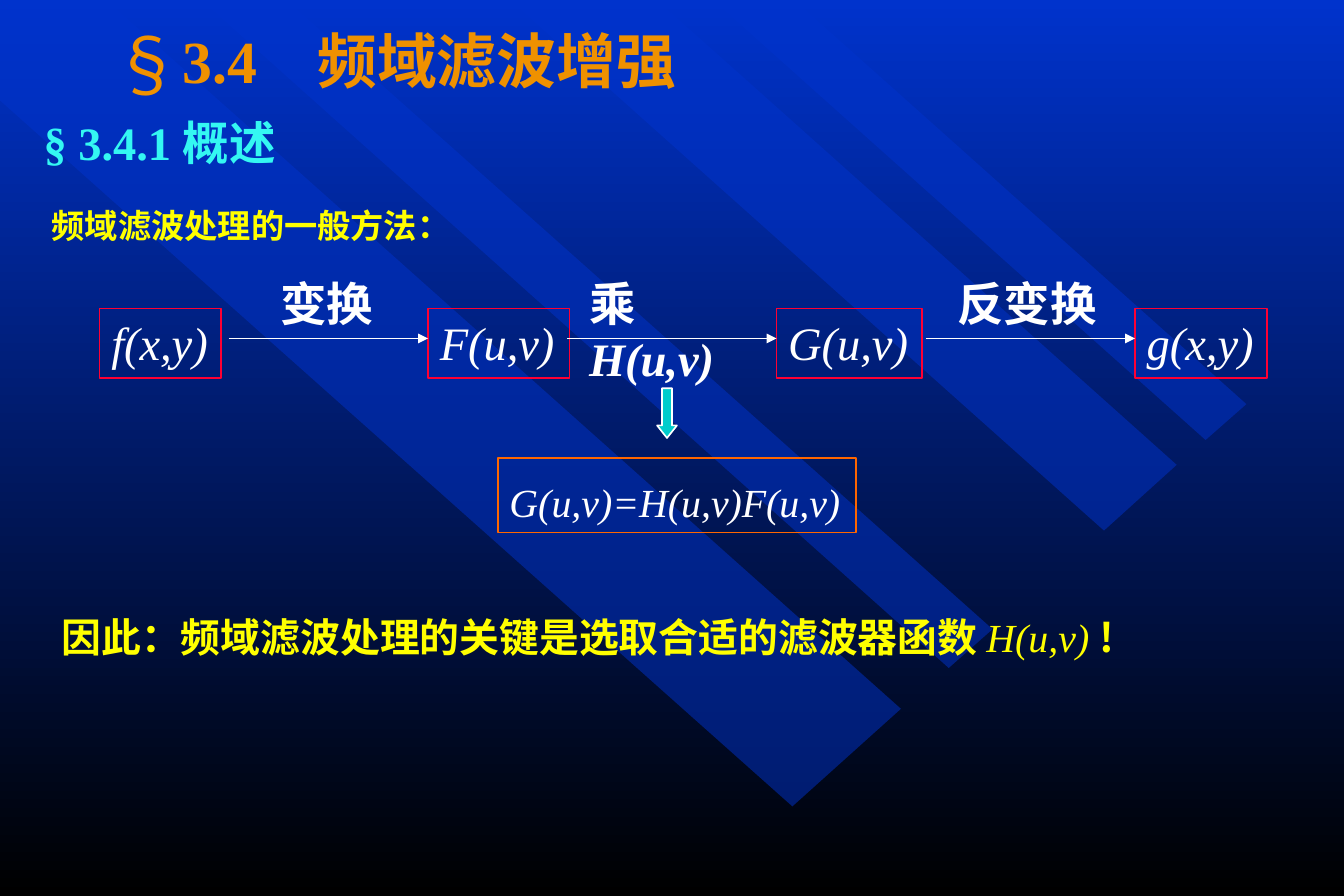
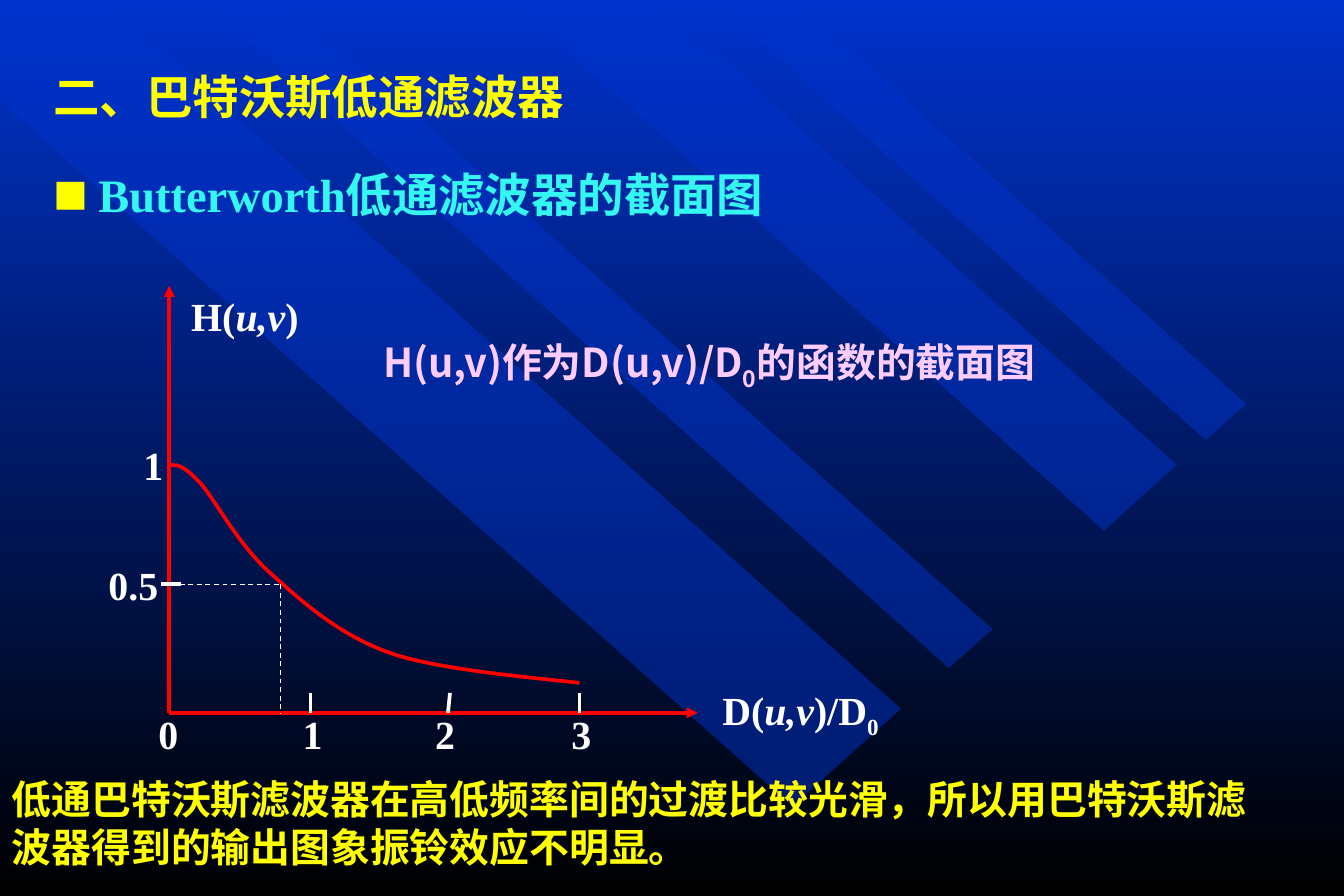
from lxml import etree
from pptx import Presentation
from pptx import util as u
from pptx.dml.color import RGBColor
from pptx.enum import dml, shapes, text
from pptx.oxml import ns

PX = 7620  # EMU in one px (120 px to the inch)
WIDE, HIGH = 1350, 900
ROMAN, SANS = "Times New Roman", "Noto Sans CJK SC"
HUE = {
    "blue": "0033CC", "black": "000000", "white": "FFFFFF",
    "gold": "EF9100", "cyan": "34F7F2", "yellow": "FFFF00",
    "pink": "FFCCFF", "teal": "00CCCC", "orange": "FF6600",
    "rose": "FF0033", "red": "FF0000",
}
BANDS = [
    [(905, 712), (107, 0), (0, 0), (0, 101), (796, 810)],
    [(288, 0), (997, 632), (953, 671), (202, 0)],
    [(660, 0), (1182, 467), (1109, 533), (512, 0)],
    [(716, 0), (1211, 442), (1252, 406), (798, 0)],
]
MID, TOP = text.MSO_ANCHOR.MIDDLE, text.MSO_ANCHOR.TOP
LEFT, CENTER = text.PP_ALIGN.LEFT, text.PP_ALIGN.CENTER


def emu(*nums):
    return [u.Emu(round(n * PX)) for n in nums]


def rgb(name):
    return RGBColor.from_string(HUE[name])


def sub(node, tag, **atts):
    return etree.SubElement(node, ns.qn("a:" + tag), atts)


# ---- basic parts ----
def paint(shape, fill=None, line=None, width=1):
    shape.shadow.inherit = False
    if fill:
        shape.fill.solid()
        shape.fill.fore_color.rgb = rgb(fill)
    else:
        shape.fill.background()
    if line:
        shape.line.color.rgb = rgb(line)
        shape.line.width = u.Pt(width)
    else:
        shape.line.fill.background()


def mark(para, char, font, size, gap, hue=None):
    """Give a paragraph a bullet with a hanging indent."""
    props = para._p.get_or_add_pPr()
    props.set("marL", str(gap * PX))
    props.set("indent", str(-gap * PX))
    if hue:
        sub(sub(props, "buClr"), "srgbClr", val=HUE[hue])
    sub(props, "buSzPct", val=str(size * 1000))
    sub(props, "buFont", typeface=font)
    sub(props, "buChar", char=char)


def fill_text(shape, runs, size, hue, font=ROMAN, bold=True, italic=None,
              wrap=True, anchor=TOP, align=LEFT, space=None, bullet=None,
              grow=True):
    """Runs are (words, changes) pairs; a plain string is a single run."""
    frame = shape.text_frame
    frame.word_wrap = wrap
    frame.vertical_anchor = anchor
    fit = text.MSO_AUTO_SIZE
    frame.auto_size = fit.SHAPE_TO_FIT_TEXT if grow else fit.NONE
    para = frame.paragraphs[0]
    para.alignment = align
    if space:
        para.line_spacing = space
    if bullet:
        mark(para, *bullet)
    face = para.font
    face.size, face.bold, face.italic = u.Pt(size), bold, italic
    face.color.rgb = rgb(hue)
    face.name = font
    sub(para._p.pPr.find(ns.qn("a:defRPr")), "ea", typeface=SANS)
    for words, diff in [(runs, {})] if isinstance(runs, str) else runs:
        run = para.add_run()
        run.text = words
        for key, val in diff.items():
            if key == "base":
                run.font._element.set("baseline", str(val * 1000))
            else:
                setattr(run.font, key, val)


def note(slide, box, runs, size, hue, **opts):
    fill_text(slide.shapes.add_textbox(*emu(*box)), runs, size, hue, **opts)


def frame_box(slide, box, words, size, line, **opts):
    shape = slide.shapes.add_shape(shapes.MSO_SHAPE.RECTANGLE, *emu(*box))
    paint(shape, line=line)
    fill_text(shape, words, size, "white", bold=False, italic=True, **opts)


def rule(slide, ends, hue="white", width=1, dash=False, head=False):
    line = slide.shapes.add_connector(
        shapes.MSO_CONNECTOR.STRAIGHT, *emu(*ends))
    line.line.color.rgb = rgb(hue)
    line.line.width = u.Pt(width)
    if dash:
        line.line.dash_style = dml.MSO_LINE.DASH
    props = line._element.spPr
    if head:
        sub(props.find(ns.qn("a:ln")), "tailEnd", type="triangle")
    sub(props, "effectLst")


def trace(slide, dots, close):
    pen = slide.shapes.build_freeform(*dots[0], scale=float(PX))
    pen.add_line_segments(dots[1:], close=close)
    return pen.convert_to_shape()


# ---- shared backdrop, kept on the master ----
def backdrop(deck, slide):
    master = deck.slide_master
    fill = master.background.fill
    fill.gradient()
    fill.gradient_angle = 270
    for stop, hue, at in zip(fill.gradient_stops, ("blue", "black"), (0, 1)):
        stop.color.rgb = rgb(hue)
        stop.position = at
    for num, dots in enumerate(BANDS):
        band = trace(slide, dots, True)
        paint(band, fill="blue")
        node = band._element
        sub(node.spPr.find(".//" + ns.qn("a:srgbClr")), "alpha", val="50000")
        node.nvSpPr.cNvPr.set("id", str(50 + num))
        master.shapes._spTree.append(node)


# ---- flow of the filtering steps ----
def flow(slide, x, y):
    for left, width, words in [(0, 122, "f(x,y)"), (330, 142, "F(u,v)"),
                               (680, 146, "G(u,v)"), (1040, 133, "g(x,y)")]:
        frame_box(slide, (x + left, y + 40, width, 70), words, 28, "rose",
                  wrap=False)
    steps = [
        (130, 330, 170, 118, "变换", False),
        (470, 680, 480, 190, [("乘", {}), ("H(u,v)", {"italic": True})], True),
        (830, 1040, 850, 164, "反变换", False),
    ]
    for start, end, left, width, words, wrap in steps:
        rule(slide, (x + start, y + 70, x + end, y + 70), head=True)
        note(slide, (x + left, y, width, 68), words, 28, "white", wrap=wrap)
    # result of the product
    down = slide.shapes.add_shape(shapes.MSO_SHAPE.DOWN_ARROW,
                                  *emu(x + 560, y + 120, 20, 50))
    down.adjustments[0], down.adjustments[1] = 0.5, 0.63
    paint(down, "teal", "white")
    frame_box(slide, (x + 400, y + 190, 360, 75), "G(u,v)=H(u,v)F(u,v)", 24,
              "orange", space=1.3)


# ---- section curve, placed by the origin of its axes ----
def plot(slide, x, y):
    def label(mid, top, width, runs):
        note(slide, (x + mid - width // 2, y + top, width, 60), runs, 24,
             "white", wrap=False, anchor=MID, align=CENTER)

    def line(x1, y1, x2, y2, **opts):
        rule(slide, (x + x1, y + y1, x + x2, y + y2), **opts)

    # axes
    for end in [(531, 0), (0, -429)]:
        line(0, 0, *end, hue="red", width=2.25, head=True)
    # ticks and numbers
    line(-8, -129, 12, -129, width=2.25)
    for top, foot in [(142, 142), (282, 280), (412, 412)]:
        line(top, -20, foot, 0, width=2.25)
    for num, mid in enumerate((-1, 144, 277, 414)):
        label(mid, -9, 44, str(num))
    label(-16, -279, 44, "1")
    label(-36, -159, 74, "0.5")
    # axis names
    slant = ("u,v", {"italic": True})
    label(76, -429, 132, [("H(", {}), slant, (")", {})])
    label(634, -30, 184, [("D(", {}), slant, (")/D", {}), ("0", {"base": -25})])
    # curve: start, then three points for each Bézier piece
    dots = [(2, -249), (9, -249), (15, -248), (32, -230),
            (48, -211), (70, -168), (102, -140),
            (134, -111), (171, -78), (222, -60),
            (274, -42), (381, -34), (412, -30)]
    curve = trace(slide, [(x + a, y + b) for a, b in dots], False)
    paint(curve, line="red", width=2.25)
    route = curve._element.find(".//" + ns.qn("a:path"))
    legs = route.findall(ns.qn("a:lnTo"))
    for at in range(0, len(legs), 3):
        piece = sub(route, "cubicBezTo")
        for leg in legs[at:at + 3]:
            piece.append(leg[0])
            route.remove(leg)
    # half-height guides
    line(2, -129, 112, -129, width=0.75, dash=True)
    line(112, -129, 112, 0, width=0.75, dash=True)


# ---- slides ----
def method(slide):
    note(slide, (100, 20, 960, 80), "3.4　频域滤波增强", 36, "gold",
         anchor=MID, bullet=("§", SANS, 120, 71), grow=False)
    note(slide, (32, 109, 390, 68), "§ 3.4.1 概述", 28, "cyan")
    note(slide, (40, 200, 500, 52), "频域滤波处理的一般方法：", 20, "yellow")
    flow(slide, 100, 270)
    note(slide, (50, 610, 1150, 60), [
        ("因此：频域滤波处理的关键是选取合适的滤波器函数 ", {}),
        ("H(u,v) ", {"name": ROMAN, "bold": False, "italic": True}),
        ("!", {})], 24, "yellow", font=SANS)


def section(slide):
    note(slide, (42, 62, 600, 68), "二、巴特沃斯低通滤波器", 28, "yellow")
    note(slide, (42, 167, 1100, 66), "Butterworth低通滤波器的截面图", 28,
         "cyan", space=0.9, bullet=("■", SANS, 75, 45, "yellow"), grow=False)
    plot(slide, 170, 716)
    note(slide, (373, 337, 728, 60), [
        ("H(u,v)作为D(u,v)/D", {}), ("0", {"base": -25}),
        ("的函数的截面图", {})], 24, "pink", font=SANS, anchor=MID)
    note(slide, (0, 772, 1271, 108),
         "低通巴特沃斯滤波器在高低频率间的过渡比较光滑，"
         "所以用巴特沃斯滤波器得到的输出图象振铃效应不明显。", 24, "yellow")


def main():
    deck = Presentation()
    deck.slide_width, deck.slide_height = emu(WIDE, HIGH)
    blank = deck.slide_layouts[6]
    first, second = [deck.slides.add_slide(blank) for _ in range(2)]
    backdrop(deck, first)
    method(first)
    section(second)
    deck.save("out.pptx")


if __name__ == "__main__":
    main()
